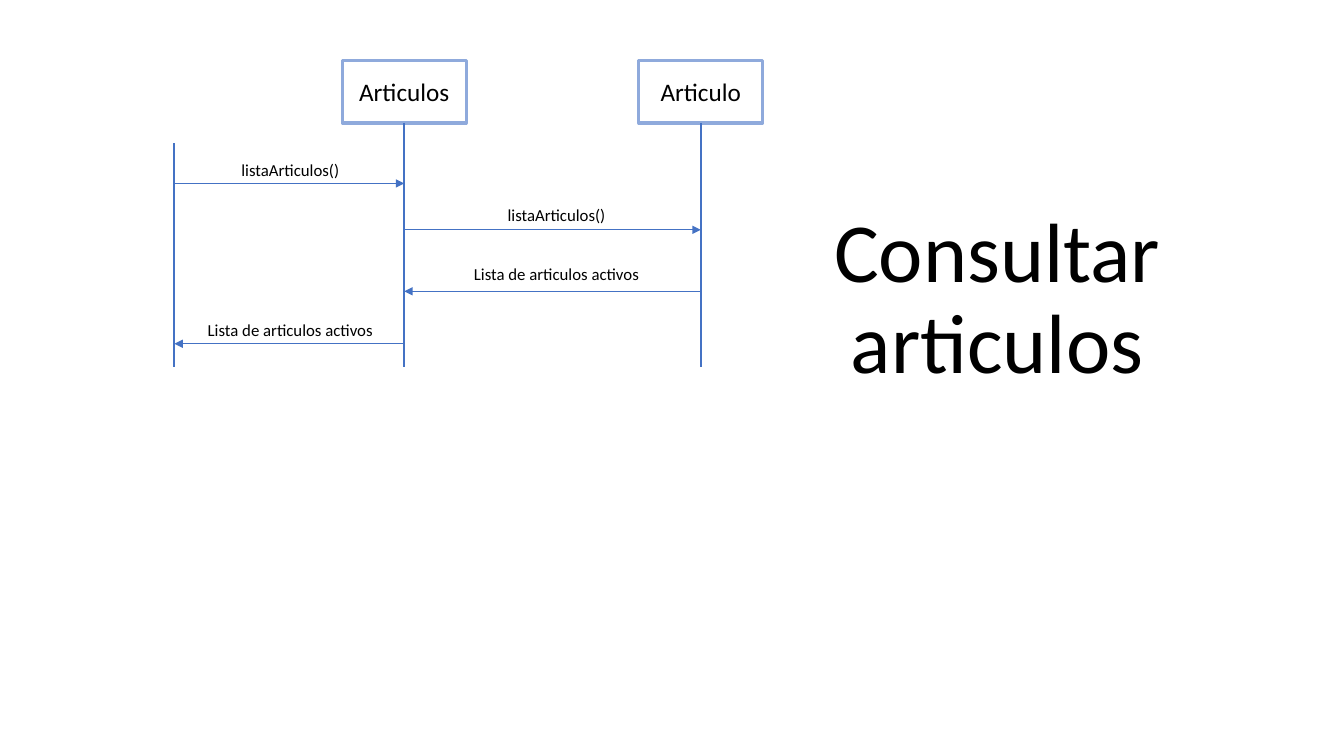
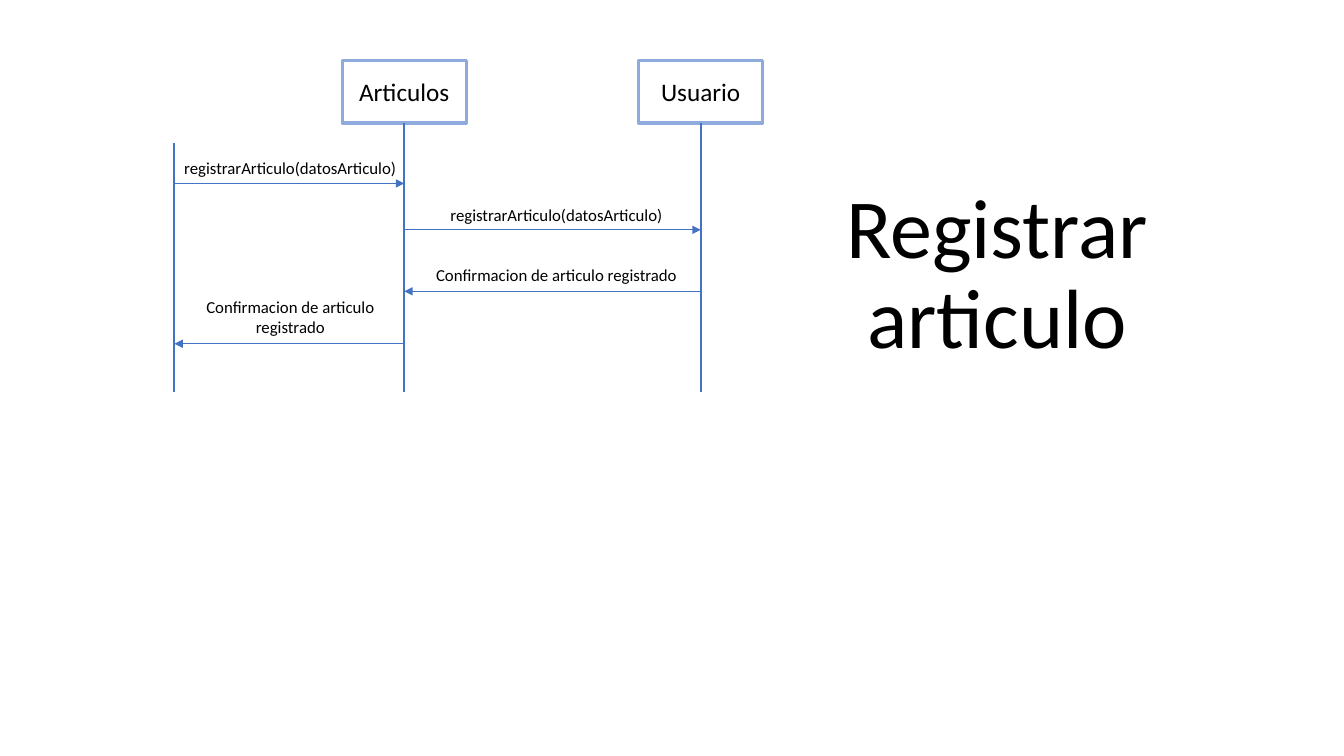
from dataclasses import dataclass

from lxml import etree
from pptx import Presentation
from pptx.dml.color import RGBColor
from pptx.enum.shapes import MSO_CONNECTOR, MSO_SHAPE
from pptx.enum.text import MSO_ANCHOR, PP_ALIGN
from pptx.oxml.ns import qn
from pptx.util import Inches, Pt

RECT = MSO_SHAPE.RECTANGLE
LINE = MSO_CONNECTOR.STRAIGHT
CENTER = PP_ALIGN.CENTER
TOP, MIDDLE, BOTTOM = MSO_ANCHOR.TOP, MSO_ANCHOR.MIDDLE, MSO_ANCHOR.BOTTOM


@dataclass(frozen=True)
class Theme:
    font: str = "Calibri"
    ink: RGBColor = RGBColor(0x00, 0x00, 0x00)
    blue: RGBColor = RGBColor(0x44, 0x72, 0xC4)
    frame: RGBColor = RGBColor(0x8F, 0xAA, 0xDC)
    title: int = 60
    head: int = 18
    label: int = 12
    border: float = 2.25
    life: float = 1.5
    arrow: float = 0.5


LIVES = (1.73, 4.01, 6.95)
MIDS = (2.88, 5.52)
ROUTES = ((0, 1, 1.82), (1, 2, 2.28), (2, 1, 2.89), (1, 0, 3.41))
HEAD_TOP, HEAD_W, HEAD_H = 0.6, 1.23, 0.62
ACTOR_TOP = 1.42


class Deck:
    """Draws sequence diagrams in one shared style."""

    def __init__(self, theme):
        self.theme = theme
        self.prs = Presentation()
        self.prs.slide_width = Inches(13.33)
        self.prs.slide_height = Inches(7.5)
        self.slide = None

    def page(self):
        self.slide = self.prs.slides.add_slide(self.prs.slide_layouts[6])

    def fill(self, shape, text, size, anchor, space=None):
        frame = shape.text_frame
        frame.word_wrap = True
        frame.vertical_anchor = anchor
        para = frame.paragraphs[0]
        para.alignment = CENTER
        para.line_spacing = space
        run = para.add_run()
        run.text = text
        run.font.name = self.theme.font
        run.font.size = Pt(size)
        run.font.color.rgb = self.theme.ink

    def text(self, box, text, size, anchor=TOP, space=None):
        shape = self.slide.shapes.add_textbox(*map(Inches, box))
        self.fill(shape, text, size, anchor, space)

    def title(self, top, text):
        self.text((8.03, top, 3.72, 2.09), text, self.theme.title, BOTTOM, 0.9)

    def label(self, mid, top, width, text):
        self.text((mid - width / 2, top, width, 0.3), text, self.theme.label)

    def head(self, mid, text):
        box = (mid - HEAD_W / 2, HEAD_TOP, HEAD_W, HEAD_H)
        shape = self.slide.shapes.add_shape(RECT, *map(Inches, box))
        shape.shadow.inherit = False
        shape.fill.background()
        shape.line.color.rgb = self.theme.frame
        shape.line.width = Pt(self.theme.border)
        self.fill(shape, text, self.theme.head, MIDDLE)

    def line(self, start, end, width):
        link = self.slide.shapes.add_connector(LINE, *map(Inches, start + end))
        link.line.color.rgb = self.theme.blue
        link.line.width = Pt(width)
        etree.SubElement(link._element.spPr, qn("a:effectLst"))
        return link

    def life(self, x, top, end):
        self.line((x, top), (x, end), self.theme.life)

    def arrow(self, start, end):
        link = self.line(start, end, self.theme.arrow)
        stroke = link._element.spPr.find(qn("a:ln"))
        etree.SubElement(stroke, qn("a:tailEnd"), type="triangle")

    def chart(self, title, top, heads, end, notes):
        self.page()
        self.life(LIVES[0], ACTOR_TOP, end)
        for x, name in zip(LIVES[1:], heads):
            self.head(x, name)
            self.life(x, HEAD_TOP + HEAD_H, end)
        for (src, dst, y), note in zip(ROUTES, notes):
            self.arrow((LIVES[src], y), (LIVES[dst], y))
            self.label(MIDS[min(src, dst)], *note)
        self.title(top, title)


def main():
    deck = Deck(Theme())
    call, reply = "listaArticulos()", "Lista de articulos activos"
    deck.chart("Consultar articulos", 1.84, ("Articulos", "Articulo"), 3.64, (
        (1.54, 1.96, call), (1.98, 1.96, call),
        (2.57, 1.96, reply), (3.12, 1.96, reply)))
    call = "registrarArticulo(datosArticulo)"
    reply = "Confirmacion de articulo registrado"
    deck.chart("Registrar articulo", 1.6, ("Articulos", "Usuario"), 3.89, (
        (1.52, 2.37, call), (1.98, 2.37, call),
        (2.58, 2.68, reply), (2.89, 2.26, reply)))
    deck.prs.save("out.pptx")


if __name__ == "__main__":
    main()
